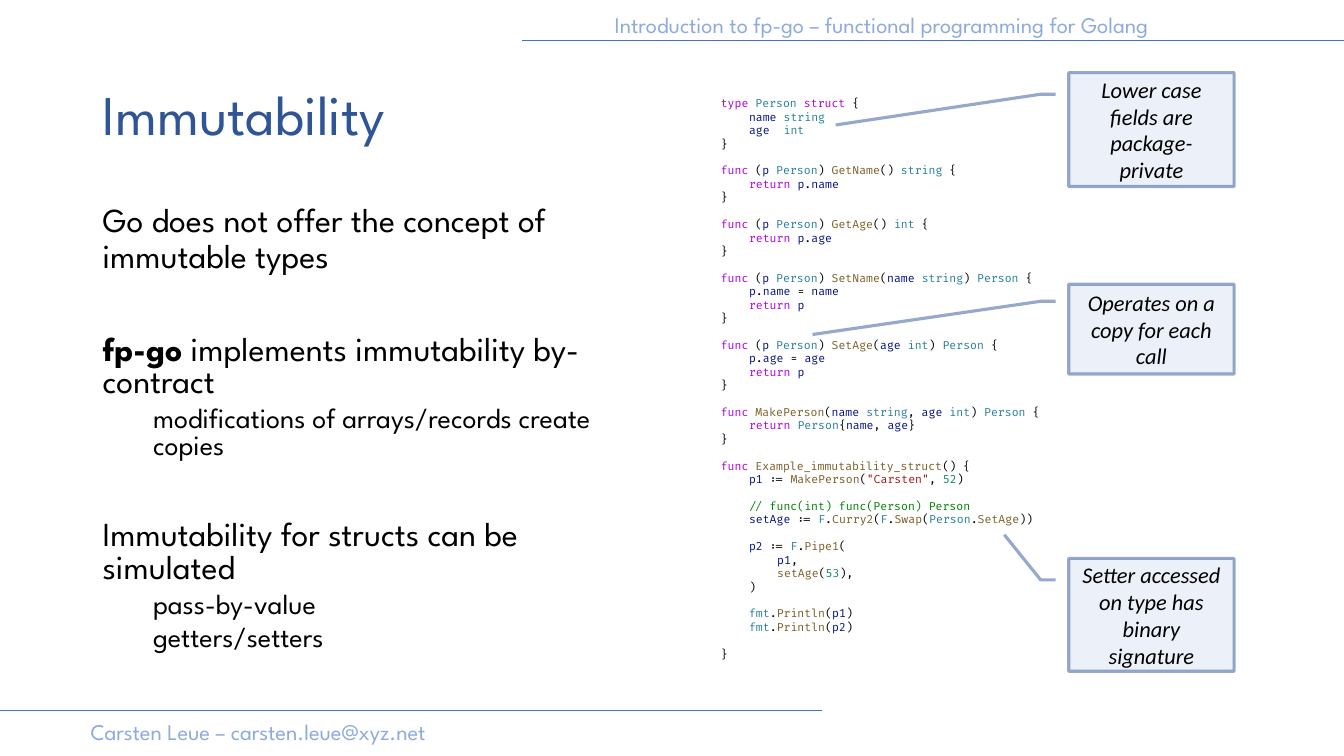
from itertools import groupby

from lxml.etree import SubElement
from pptx import Presentation
from pptx.dml.color import RGBColor
from pptx.enum.shapes import MSO_CONNECTOR as Connector, MSO_SHAPE as Shape
from pptx.enum.text import MSO_ANCHOR as Anchor, PP_ALIGN as Align
from pptx.oxml.ns import qn
from pptx.util import Inches, Pt

WIDTH, HEIGHT = Inches(13.33), Inches(7.5)
HEADING_FONT, CODE_FONT, NOTE_FONT = "League Spartan", "Fira Code", "Calibri"
COLORS = {
    "pale": "8FAADC", "rule": "4472C4", "deep": "2F5597", "note": "DAE3F3",
    "plain": "000000", "keyword": "AF00DB", "type": "267F99", "variable": "001080",
    "function": "795E26", "string": "A31515", "number": "098658", "comment": "008000",
}
KEYWORDS = {"type", "struct", "func", "return"}
TYPES = {"Person", "string", "int", "F", "fmt"}
CODE_INDENT = 0.28
BLANK_LINE = 9.6

CODE = """type Person struct {
    name string
    age  int
}

func (p Person) GetName() string {
    return p.name
}

func (p Person) GetAge() int {
    return p.age
}

func (p Person) SetName(name string) Person {
    p.name = name
    return p
}

func (p Person) SetAge(age int) Person {
    p.age = age
    return p
}

func MakePerson(name string, age int) Person {
    return Person{name, age}
}

func Example_immutability_struct() {
    p1 := MakePerson("Carsten", 52)

    // func(int) func(Person) Person
    setAge := F.Curry2(F.Swap(Person.SetAge))

    p2 := F.Pipe1(
        p1,
        setAge(53),
    )

    fmt.Println(p1)
    fmt.Println(p2)

}"""

POINTS = [
    ([("Go does not offer the concept of immutable types", False)], 0, 10, 0.89),
    ([("fp-go", True), (" implements immutability by-contract", False)], 0, 43, 0.8),
    ([("modifications of arrays/records create copies", False)], 1, 5, 0.8),
    ([("Immutability for structs can be simulated", False)], 0, 43, 0.8),
    ([("pass-by-value", False)], 1, 5, 0.8),
    ([("getters/setters", False)], 1, 5, 0.8),
]

CALLOUTS = [
    ("Operates on a copy for each call", 37.6, 11.87, (0.56, -1.55)),
    ("Lower case fields are package-private", 9.6, 15.07, (0.46, -1.41)),
    ("Setter accessed on type has binary signature", 73.87, 14.93, (-0.21, -0.39)),
]


def across(percent):
    return round(WIDTH * percent / 100)


def down(percent):
    return round(HEIGHT * percent / 100)


def area(left, top, width, height):
    return across(left), down(top), across(width), down(height)


def color(name):
    return RGBColor.from_string(COLORS[name])


def style(font, family, size, tint):
    font.name, font.size = family, Pt(size)
    font.color.rgb = color(tint)


def indent(para, inches):
    properties = para._p.get_or_add_pPr()
    properties.set("marL", str(Inches(inches)))
    properties.set("indent", "0")


def add_text_frame(page, place):
    frame = page.shapes.add_textbox(*area(*place)).text_frame
    frame.word_wrap = True
    return frame


def add_label(page, text, place, size, tint):
    frame = add_text_frame(page, place)
    frame.vertical_anchor = Anchor.MIDDLE
    para = frame.paragraphs[0]
    para.text = text
    style(para.font, HEADING_FONT, size, tint)


def add_rule(page, start, end, top):
    line = page.shapes.add_connector(
        Connector.STRAIGHT, across(start), down(top), across(end), down(top))
    line.line.color.rgb = color("rule")
    line.line.width = Pt(0.5)
    SubElement(line._element.spPr, qn("a:effectLst"))


def next_paragraph(frame, index):
    return frame.add_paragraph() if index else frame.paragraphs[0]


def add_points(page, place):
    frame = add_text_frame(page, place)
    for index, (spans, level, before, spacing) in enumerate(POINTS):
        para = next_paragraph(frame, index)
        para.level = level
        indent(para, 0.5 * level)
        para.space_before = Pt(before)
        para.line_spacing = spacing
        style(para.font, HEADING_FONT, 20 if level else 24, "plain")
        for text, bold in spans:
            span = para.add_run()
            span.text = text
            if bold:
                span.font.bold = True


def is_word_part(letter):
    return letter.isalnum() or letter in '_"'


def token_kind(token, following):
    if not is_word_part(token[0]):
        return "plain"
    if token in KEYWORDS:
        return "keyword"
    if token in TYPES:
        return "type"
    if token[0] == '"':
        return "string"
    if token.isdigit():
        return "number"
    if token[0].isupper() or following.startswith("("):
        return "function"
    return "variable"


def tokenize(line):
    if line.startswith("//"):
        return [(line, "comment")]
    tokens = ["".join(group) for _, group in groupby(line, is_word_part)]
    return [(token, token_kind(token, following))
            for token, following in zip(tokens, tokens[1:] + [""])]


def add_code(page, place):
    frame = add_text_frame(page, place)
    gap = index = 0
    for line in CODE.splitlines():
        content = line.lstrip()
        if not content:
            gap = BLANK_LINE
            continue
        para = next_paragraph(frame, index)
        indent(para, CODE_INDENT * (len(line) - len(content)) / 4)
        para.space_before = Pt(gap)
        para.font.name, para.font.size = CODE_FONT, Pt(8)
        for token, kind in tokenize(content):
            span = para.add_run()
            span.text = token
            span.font.color.rgb = color(kind)
        gap, index = 0, index + 1


def make_half_transparent(fill):
    tint = fill._xPr.find(f"{qn('a:solidFill')}/{qn('a:srgbClr')}")
    SubElement(tint, qn("a:alpha"), val="50000")


def add_callout(page, text, top, height, target):
    box = page.shapes.add_shape(Shape.LINE_CALLOUT_2, *area(79.52, top, 12.3, height))
    box.shadow.inherit = False
    for index, value in enumerate((0.19, -0.08, 0.19, -0.17, *target)):
        box.adjustments[index] = value
    box.line.width = Pt(2.25)
    for fill, tint in ((box.fill, "note"), (box.line.fill, "deep")):
        fill.solid()
        fill.fore_color.rgb = color(tint)
        make_half_transparent(fill)
    frame = box.text_frame
    frame.word_wrap = True
    frame.vertical_anchor = Anchor.MIDDLE
    para = frame.paragraphs[0]
    para.text = text
    para.alignment = Align.CENTER
    style(para.font, NOTE_FONT, 16, "plain")
    para.font.italic = True


def main():
    deck = Presentation()
    deck.slide_width, deck.slide_height = WIDTH, HEIGHT
    page = deck.slides.add_slide(deck.slide_layouts[6])
    add_label(page, "Introduction to fp-go – functional programming for Golang",
              (45, 0.8, 49.06, 4.93), 16, "pale")
    add_label(page, "Carsten Leue – carsten.leue@xyz.net",
              (6, 94.27, 32.33, 4.93), 16, "pale")
    add_rule(page, 100, 38.86, 5.33)
    add_rule(page, 61.14, 0, 94)
    add_label(page, "Immutability", (6.9, 5.33, 86.27, 19.33), 40, "deep")
    add_points(page, (6.9, 26.27, 42.53, 63.47))
    add_code(page, (52.89, 12.13, 44.86, 76.8))
    for callout in CALLOUTS:
        add_callout(page, *callout)
    deck.save("out.pptx")


if __name__ == "__main__":
    main()
